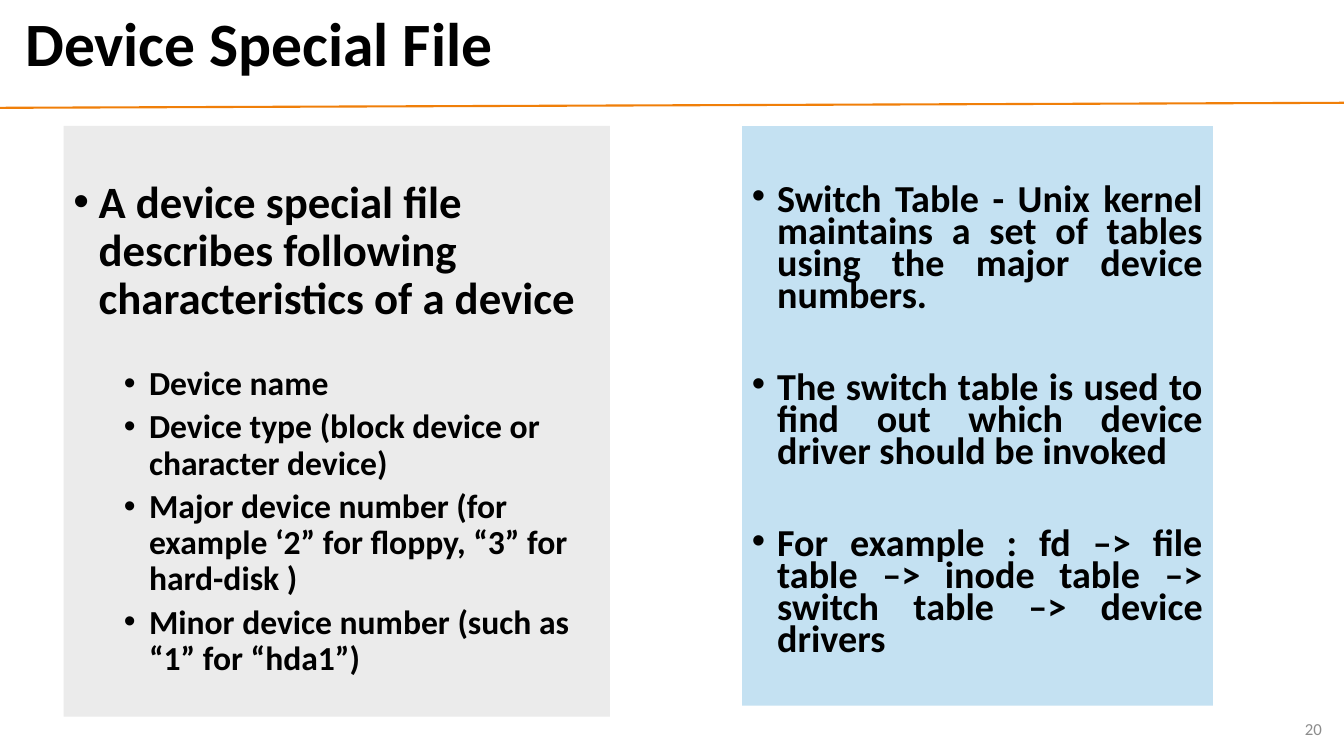
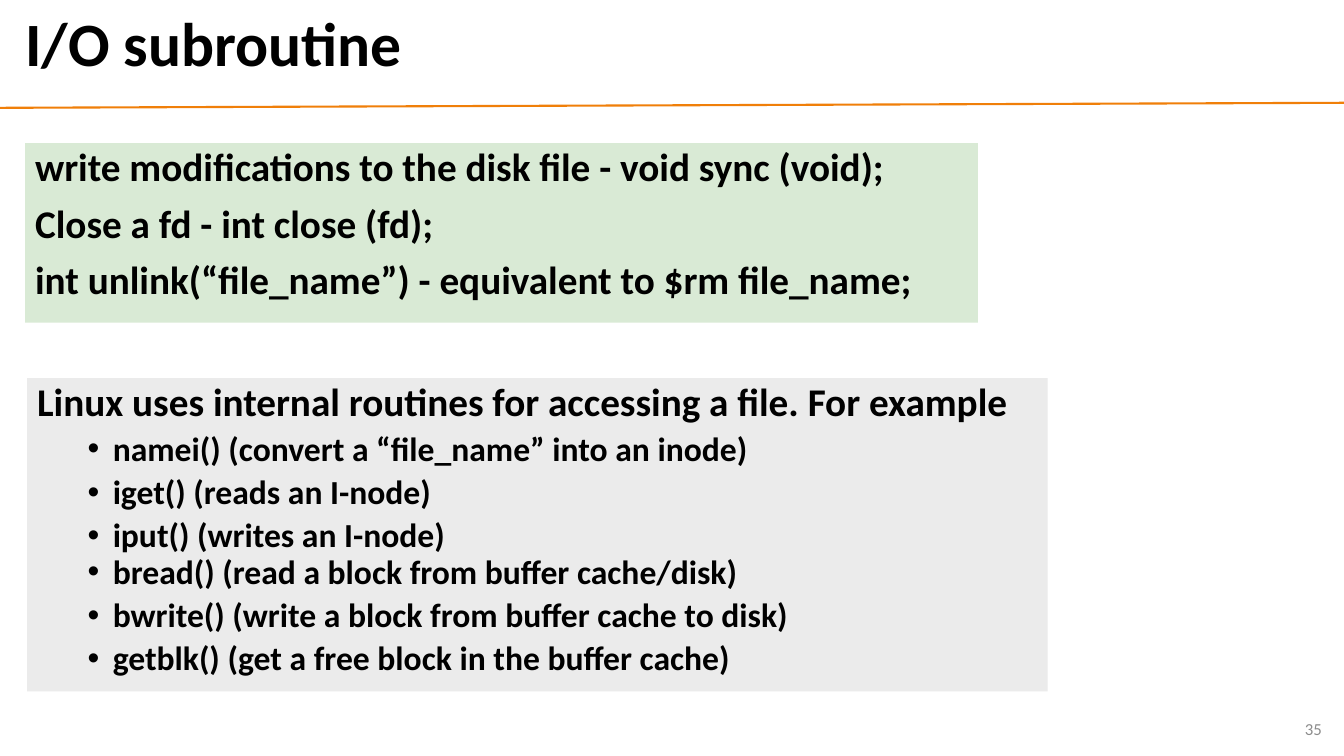
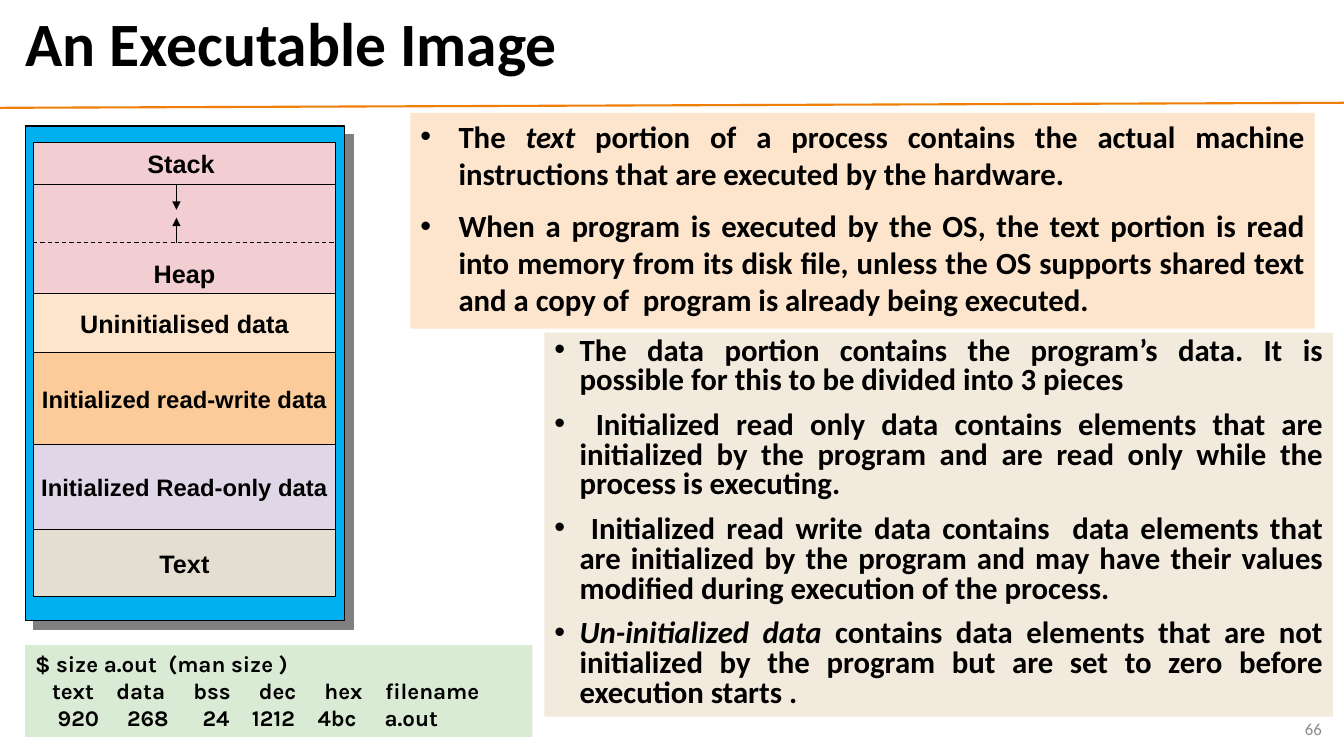
from lxml.etree import SubElement
from pptx import Presentation
from pptx.dml.color import RGBColor
from pptx.enum.dml import MSO_LINE
from pptx.enum.shapes import MSO_CONNECTOR, MSO_SHAPE
from pptx.enum.text import MSO_ANCHOR, MSO_AUTO_SIZE, PP_ALIGN
from pptx.oxml.ns import qn
from pptx.util import Emu, Pt

INK, RULE, MUTED, SHADE = "000000", "F07F09", "8C8C8C", "808080"
GREY, SKY, GREEN, PEACH, SAND = "EBEBEB", "C4E1F2", "D9EAD5", "FDE5CD", "F3EADE"
BLUE, PINK, AMBER, LILAC, STONE = "00B0F0", "F2CED2", "FBCC9A", "DFD7E7", "E3DED1"
BODY, LABEL, CODE = "Calibri", "Arial", "Karla"
LEFT, MID, RIGHT, JUST = PP_ALIGN.LEFT, PP_ALIGN.CENTER, PP_ALIGN.RIGHT, PP_ALIGN.JUSTIFY
TOP, CENTRE, BASE = MSO_ANCHOR.TOP, MSO_ANCHOR.MIDDLE, MSO_ANCHOR.BOTTOM


def px(n):
    """Turn px, a hundred to the inch, into EMU."""
    return Emu(n * 9144)


def tint(code):
    """Turn a hex string into a colour."""
    return RGBColor.from_string(code)


def put(frame, text, size=18, font=BODY, color=INK, bold=True, align=LEFT,
        line=1.0, gap=0, left=0, hang=0, bullet=False):
    """Add one paragraph, with *stars* round italic words."""
    first = not frame.text
    para = frame.paragraphs[0] if first else frame.add_paragraph()
    props = para._p.get_or_add_pPr()
    props.set("marL", str(px(left)))
    props.set("indent", str(px(-hang)))
    if bullet:
        SubElement(props, qn("a:buFont")).set("typeface", "Arial")
        SubElement(props, qn("a:buChar")).set("char", "•")
    else:
        SubElement(props, qn("a:buNone"))
    para.alignment = align
    para.line_spacing = line
    para.space_before = Pt(0 if first else gap)
    for place, part in enumerate(text.split("*")):
        if part:
            run = para.add_run()
            run.text = part
            run.font.size, run.font.name = Pt(size), font
            run.font.bold, run.font.italic = bold, place % 2 == 1
            run.font.color.rgb = tint(color)


class Deck:
    """Holds the shared style and the current slide."""

    def __init__(self):
        """Start an empty wide deck."""
        self.show = Presentation()
        self.show.slide_width, self.show.slide_height = px(1333), px(750)
        self.slide = None

    def page(self, title, number):
        """Open a slide with its title, rule and number."""
        self.slide = self.show.slides.add_slide(self.show.slide_layouts[5])
        head = self.slide.shapes.title
        head.left, head.top, head.width, head.height = map(px, (15, 5, 1289, 83))
        self.frame(head, CENTRE)
        put(head.text_frame, title, size=44, line=0.9)
        self.line(0, 107, 1333, 102, color=RULE, width=1.5)
        foot = self.slide.shapes.add_textbox(*map(px, (1021, 703, 300, 40)))
        self.frame(foot, CENTRE)
        put(foot.text_frame, str(number), size=12, color=MUTED, bold=False, align=RIGHT)

    def frame(self, shape, anchor, wrap=True, inset=5):
        """Set how text sits in a shape."""
        frame = shape.text_frame
        frame.auto_size = MSO_AUTO_SIZE.NONE
        frame.word_wrap, frame.vertical_anchor = wrap, anchor
        frame.margin_left = frame.margin_right = px(10)
        frame.margin_top, frame.margin_bottom = px(inset), px(5)

    def box(self, x, y, w, h, fill, edge=False, anchor=TOP, wrap=True, inset=5):
        """Draw a filled rectangle."""
        shape = self.slide.shapes.add_shape(MSO_SHAPE.RECTANGLE, *map(px, (x, y, w, h)))
        shape.shadow.inherit = False
        shape.fill.solid()
        shape.fill.fore_color.rgb = tint(fill)
        if edge:
            shape.line.color.rgb, shape.line.width = tint(INK), Pt(0.75)
        else:
            shape.line.fill.background()
        self.frame(shape, anchor, wrap, inset)
        return shape

    def panel(self, x, y, w, h, fill, texts, inset=5, **style):
        """Draw a rectangle with paragraphs, each in the given style or its own."""
        frame = self.box(x, y, w, h, fill, inset=inset).text_frame
        for item in texts:
            text, own = (item, {}) if isinstance(item, str) else item
            put(frame, text, **{**style, **own})

    def cast(self, shape):
        """Give a shape a hard shadow to the lower right."""
        effect = shape._element.spPr.find(qn("a:effectLst"))
        shadow = SubElement(effect, qn("a:outerShdw"), blurRad="0",
                            dist=str(Pt(8.5)), dir="2700000", algn="ctr", rotWithShape="0")
        SubElement(shadow, qn("a:srgbClr")).set("val", SHADE)

    def line(self, x1, y1, x2, y2, color=INK, width=0.75, dash=False, arrow=False):
        """Draw a straight line, dashed or with an arrowhead if asked."""
        link = self.slide.shapes.add_connector(
            MSO_CONNECTOR.STRAIGHT, *map(px, (x1, y1, x2, y2)))
        link.line.color.rgb, link.line.width = tint(color), Pt(width)
        if dash:
            link.line.dash_style = MSO_LINE.DASH
        if arrow:
            SubElement(link.line._get_or_add_ln(), qn("a:tailEnd")).set("type", "triangle")
        SubElement(link._element.spPr, qn("a:effectLst"))

    def stack(self, x, y, w, cells):
        """Pile up labelled cells from the top down."""
        for text, high, fill, size, anchor in cells:
            cell = self.box(x, y, w, high, fill, edge=True, anchor=anchor, wrap=False)
            put(cell.text_frame, text, size=size, font=LABEL, align=MID)
            y += high


POINT = dict(left=25, hang=25, bullet=True)
SUB = dict(size=24, left=75, hang=25, bullet=True, gap=5)


def device(deck):
    """Build the slide on device files."""
    deck.page("Device Special File", 20)
    deck.panel(63, 125, 542, 586, GREY, [
        ("A device special file describes following characteristics of a device", POINT),
        ("Device name", {**SUB, "gap": 30}),
        ("Device type (block device or character device)", SUB),
        ("Major device number (for example ‘2” for floppy, “3” for hard-disk )", SUB),
        ("Minor device number (such as “1” for “hda1”)", SUB),
    ], inset=53, size=32, line=0.9)
    deck.panel(736, 125, 467, 575, SKY, [
        "Switch Table - Unix kernel maintains a set of tables using the major device numbers.",
        "The switch table is used to find out which device driver should be invoked",
        "For example : fd –> file table –> inode table –> switch table –> device drivers",
    ], inset=60, size=27.2, line=0.7, gap=43, align=JUST, **POINT)


def calls(deck):
    """Build the slide on file routines."""
    deck.page("I/O subroutine", 35)
    deck.panel(25, 142, 945, 178, GREEN, [
        "write modifications to the disk file - void sync (void);",
        "Close a fd - int close (fd);",
        "int unlink(“file_name”) - equivalent to $rm file_name;",
    ], size=28, line=0.9, gap=10, left=25, hang=25)
    deck.panel(27, 375, 1012, 311, GREY, [
        "Linux uses internal routines for accessing a file. For example",
        ("namei() (convert a “file_name” into an inode)", SUB),
        ("iget() (reads an I-node)", SUB),
        ("iput() (writes an I-node)", SUB),
        ("bread() (read a block from buffer cache/disk)", {**SUB, "gap": 0}),
        ("bwrite() (write a block from buffer cache to disk)", SUB),
        ("getblk() (get a free block in the buffer cache)", SUB),
    ], size=28, line=0.9)


def memory(deck):
    """Build the slide on the parts of a program."""
    deck.page("An Executable Image", 66)
    deck.cast(deck.box(25, 125, 317, 491, BLUE, edge=True))
    deck.stack(33, 141, 300, [
        ("Stack ", 42, PINK, 18, CENTRE),
        ("Heap", 108, PINK, 18, BASE),
        ("Uninitialised data", 59, PEACH, 18, CENTRE),
        ("Initialized read-write data", 91, AMBER, 17, CENTRE),
        ("Initialized Read-only data", 84, LILAC, 17, CENTRE),
        ("Text", 67, STONE, 18, CENTRE),
    ])
    deck.line(33, 241, 333, 241, dash=True)
    for start, end in ((133, 133), (183, 208), (241, 216)):
        deck.line(175, start, 175, end, arrow=True)
    deck.panel(25, 640, 503, 91, GREEN, [
        "$ size a.out  (man size )",
        "   text    data     bss     dec     hex    filename",
        "    920     268      24    1212    4bc     a.out",
    ], size=16, font=CODE)
    prose = dict(size=22, gap=11, align=JUST, bullet=True)
    deck.panel(407, 112, 897, 214, PEACH, [
        "The *text* portion of a process contains the actual machine instructions "
        "that are executed by the hardware.",
        "When a program is executed by the OS, the text portion is read into memory "
        "from its disk file, unless the OS supports shared text and a copy of  program "
        "is already being executed.",
    ], left=38, hang=38, **prose)
    deck.panel(540, 330, 782, 381, SAND, [
        "The data portion contains the program’s data. It is possible for this to be "
        "divided into 3 pieces",
        " Initialized read only data contains elements that are initialized by the "
        "program and are read only while the process is executing.",
        " Initialized read write data contains  data elements that are initialized by "
        "the program and may have their values modified during execution of the process.",
        "*Un-initialized data* contains data elements that are not initialized by the "
        "program but are set to zero before execution starts .",
    ], line=0.8, left=25, hang=25, **prose)


def main():
    """Build and save the deck."""
    deck = Deck()
    for build in (device, calls, memory):
        build(deck)
    deck.show.save("out.pptx")


if __name__ == "__main__":
    main()
